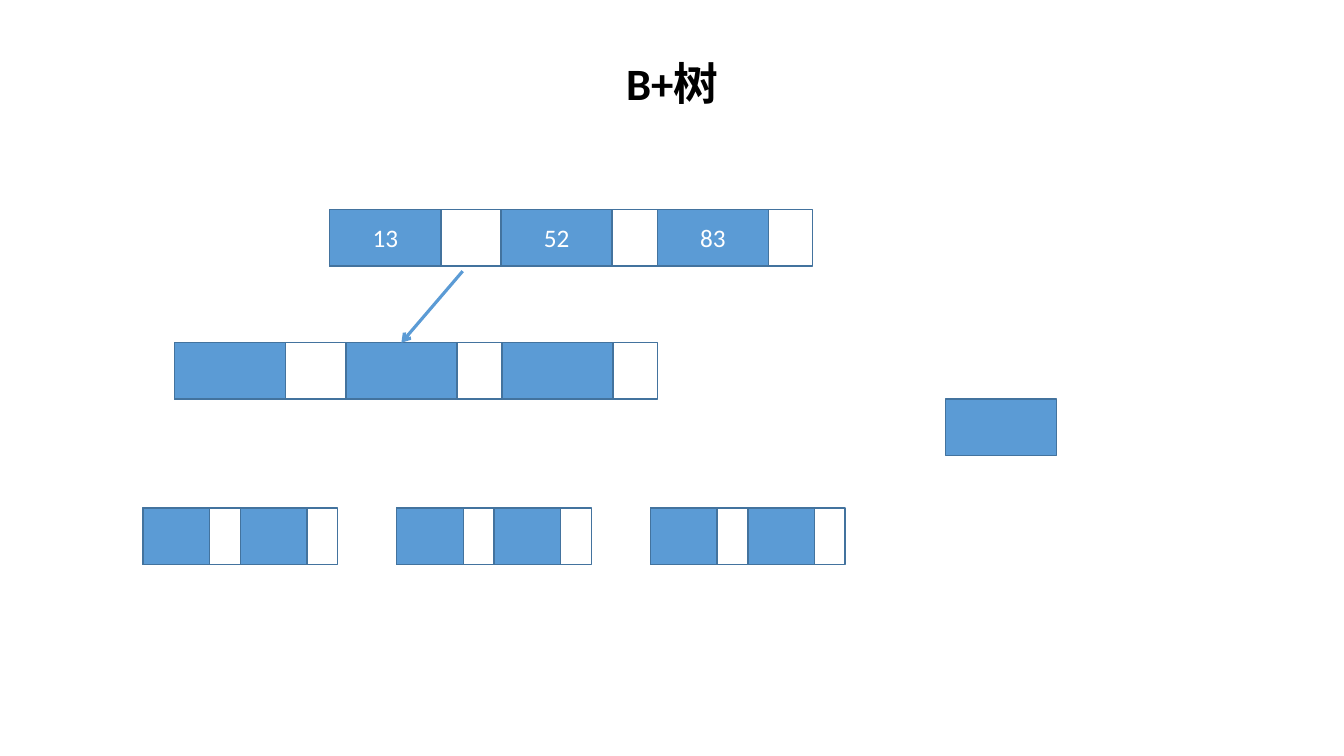
"""Draw a B+ tree slide with three levels of nodes and one loose key."""
from lxml import etree
from pptx import Presentation
from pptx.dml.color import RGBColor
from pptx.enum import shapes, text
from pptx.oxml import ns
from pptx.util import Pt

TITLE = "B+树"
FONT = "Calibri"
BLUE = RGBColor(0x5B, 0x9B, 0xD5)
EDGE = RGBColor(0x43, 0x73, 0x9E)
WHITE = RGBColor(0xFF, 0xFF, 0xFF)
BLACK = RGBColor(0, 0, 0)

HIGH = 40.3
WIDE = {"width": 344.9, "key": 79.4, "steps": (0, 122.4, 234)}
SLIM = {"width": 139, "key": 47.5, "steps": (0, 69.6)}
ROOT = (235.5, 149.8)
CHILD = (124.6, 244.8)
LEAF = (102.2, 362.9)
GAP = 181.2
LEAVES = 3
LOOSE = (675.4, 285.1)
START = (330.5, 193.7)


def write(shape, words, size=18, color=WHITE, bold=False, space=None):
    """Put centred, formatted text in a shape."""
    frame = shape.text_frame
    frame.word_wrap = True
    frame.vertical_anchor = text.MSO_ANCHOR.MIDDLE
    para = frame.paragraphs[0]
    para.alignment = text.PP_ALIGN.CENTER
    para.line_spacing = space
    run = para.add_run()
    run.text = words
    run.font.name = FONT
    run.font.size = Pt(size)
    run.font.bold = bold
    run.font.color.rgb = color


def box(slide, left, top, width, fill=None):
    """Add one outlined rectangle of node height."""
    rect = slide.shapes.add_shape(
        shapes.MSO_SHAPE.RECTANGLE, Pt(left), Pt(top), Pt(width), Pt(HIGH))
    rect.shadow.inherit = False
    if fill is None:
        rect.fill.background()
    else:
        rect.fill.solid()
        rect.fill.fore_color.rgb = fill
    rect.line.color.rgb = EDGE
    rect.line.width = Pt(1)
    return rect


def node(slide, spot, form, words=()):
    """Add a node frame with its keys and return the keys."""
    left, top = spot
    box(slide, left, top, form["width"])
    keys = [box(slide, left + step, top, form["key"], BLUE)
            for step in form["steps"]]
    for key, word in zip(keys, words):
        write(key, word)
    return keys


def arrow(slide, start, goal):
    """Point an arrow from a spot to the top of a key."""
    x, y = map(Pt, start)
    link = slide.shapes.add_connector(
        shapes.MSO_CONNECTOR.STRAIGHT, x, y, x, y)
    link.end_connect(goal, 0)
    link.line.color.rgb = BLUE
    link.line.width = Pt(2.25)
    props = link._element.spPr
    etree.SubElement(props.find(ns.qn("a:ln")), ns.qn("a:tailEnd"), type="arrow")
    etree.SubElement(props, ns.qn("a:effectLst"))


def main():
    """Build and save the slide."""
    deck = Presentation()
    deck.slide_width, deck.slide_height = Pt(960), Pt(540)
    slide = deck.slides.add_slide(deck.slide_layouts[5])
    title = slide.shapes.title
    title.left, title.top = Pt(66.2), Pt(28.8)
    title.width, title.height = Pt(828), Pt(65.5)
    write(title, TITLE, size=32, color=BLACK, bold=True, space=0.9)

    node(slide, ROOT, WIDE, ("13", "52", "83"))
    keys = node(slide, CHILD, WIDE)
    for i in range(LEAVES):
        node(slide, (LEAF[0] + i * GAP, LEAF[1]), SLIM)
    box(slide, *LOOSE, WIDE["key"], BLUE)
    arrow(slide, START, keys[1])
    deck.save("out.pptx")


if __name__ == "__main__":
    main()
